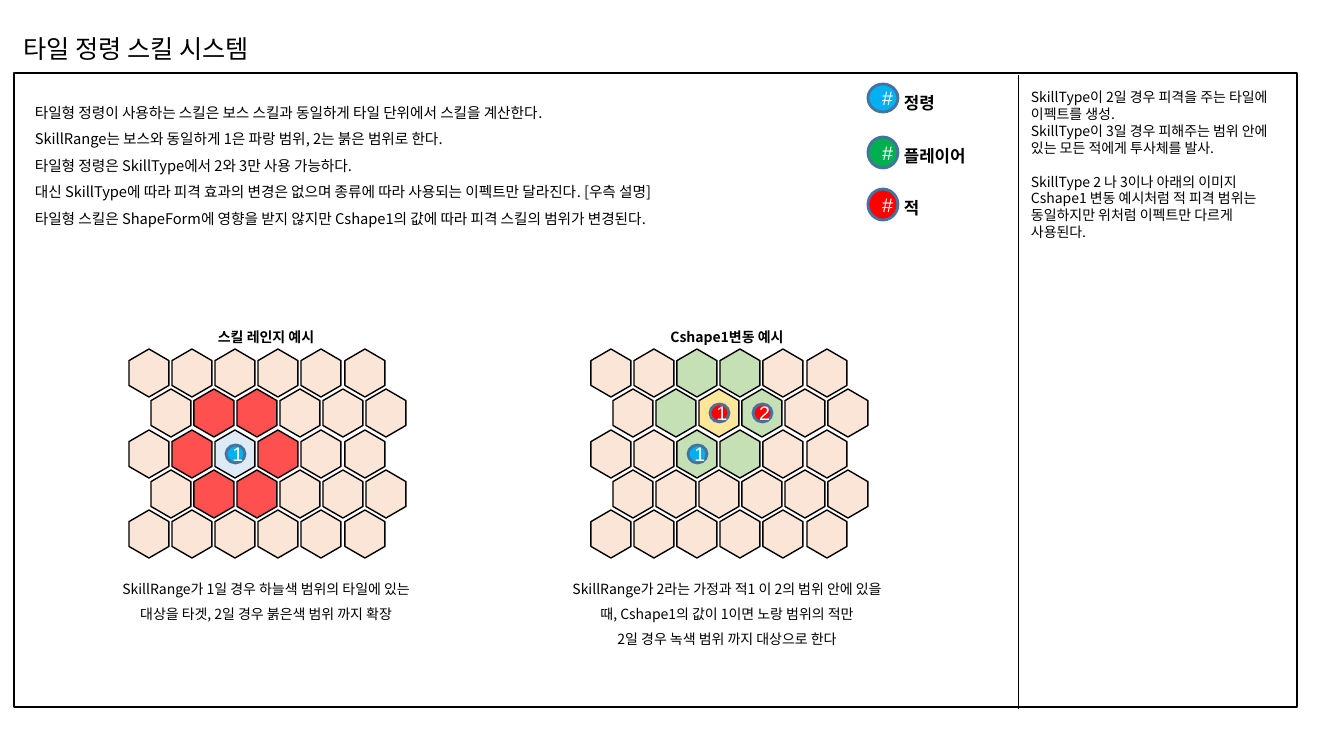
import pptx
import pptx.util
import pptx.dml.color
import pptx.enum.shapes
import pptx.enum.text
import pptx.oxml
import pptx.oxml.ns
from dataclasses import dataclass

SHAPE = pptx.enum.shapes.MSO_SHAPE
ALIGN = pptx.enum.text.PP_ALIGN
ANCHOR = pptx.enum.text.MSO_ANCHOR


@dataclass(frozen=True)
class Theme:
    korean: str = "Noto Sans CJK KR"
    latin: str = "Arial"
    black: str = "000000"
    white: str = "FFFFFF"
    ring: str = "43739E"
    spirit: str = "00B0F0"
    player: str = "00B050"
    enemy: str = "FF0000"
    tile: str = "FBE5D6"
    red: str = "FF5050"
    sky: str = "DEEBF7"
    green: str = "C5E0B4"
    yellow: str = "FFE699"
    title: float = 18
    marker: float = 14
    legend: float = 12
    body: float = 10.5
    small: float = 10


class Builder:
    SCALE = 914400 / 100.8

    def __init__(self, slide, theme):
        self.s = slide
        self.t = theme

    def px(self, *lengths):
        return [pptx.util.Emu(round(n * self.SCALE)) for n in lengths]

    def color(self, value):
        return pptx.dml.color.RGBColor.from_string(value)

    def run(self, p, text, size, color, font, bold=False):
        r = p.add_run()
        r.text = text
        r.font.size = pptx.util.Pt(size)
        r.font.bold = bold
        r.font.name = font
        r.font.color.rgb = self.color(color)
        ea = pptx.oxml.parse_xml(
            '<a:ea %s typeface="%s"/>' % (pptx.oxml.ns.nsdecls("a"), self.t.korean))
        r.font._element.find(pptx.oxml.ns.qn("a:latin")).addnext(ea)

    def fill_text(self, sp, lines, size, align, spacing, bold=False, gap_at=None):
        tf = sp.text_frame
        tf.word_wrap = True
        tf.auto_size = pptx.enum.text.MSO_AUTO_SIZE.NONE
        tf.vertical_anchor = ANCHOR.TOP
        for i, line in enumerate(lines):
            p = tf.paragraphs[0] if i == 0 else tf.add_paragraph()
            p.alignment = align
            p.line_spacing = spacing
            p.space_before = pptx.util.Pt(size * 1.2 if i == gap_at else 0)
            self.run(p, line, size, self.t.black, self.t.korean, bold)

    def title(self, box, text):
        sp = self.s.shapes.title
        sp.left, sp.top, sp.width, sp.height = self.px(*box)
        self.fill_text(sp, [text], self.t.title, ALIGN.LEFT, 1.0)

    def text(self, box, lines, size, align=ALIGN.LEFT, spacing=1.5, **style):
        sp = self.s.shapes.add_textbox(*self.px(*box))
        self.fill_text(sp, lines, size, align, spacing, **style)

    def shape(self, parent, kind, box, fill, line, width):
        sp = parent.shapes.add_shape(kind, *self.px(*box))
        sp.shadow.inherit = False
        if fill:
            sp.fill.solid()
            sp.fill.fore_color.rgb = self.color(fill)
        else:
            sp.fill.background()
        sp.line.color.rgb = self.color(line)
        sp.line.width = pptx.util.Pt(width)
        return sp

    def marker(self, parent, box, fill, label):
        sp = self.shape(parent, SHAPE.OVAL, box, fill, self.t.ring, 2)
        sp.text_frame.vertical_anchor = ANCHOR.MIDDLE
        p = sp.text_frame.paragraphs[0]
        p.alignment = ALIGN.CENTER
        self.run(p, label, self.t.marker, self.t.white, self.t.latin)

    def line(self, start, end, width):
        cx = self.s.shapes.add_connector(
            pptx.enum.shapes.MSO_CONNECTOR.STRAIGHT, *self.px(*start, *end))
        cx.line.color.rgb = self.color(self.t.black)
        cx.line.width = pptx.util.Pt(width)
        cx._element.spPr.append(
            pptx.oxml.parse_xml("<a:effectLst %s/>" % pptx.oxml.ns.nsdecls("a")))

    def hex_map(self, left, top, rows, markers):
        fills = {".": self.t.tile, "R": self.t.red, "S": self.t.sky,
                 "G": self.t.green, "Y": self.t.yellow}
        group = self.s.shapes.add_group_shape()

        def corner(row, col):
            return left + round(43.1 * col + 21.5 * (row % 2)), top + round(40.3 * row)

        for row, tiles in enumerate(rows):
            for col, tile in enumerate(tiles):
                sp = self.shape(group, SHAPE.HEXAGON, (*corner(row, col), 48, 40),
                                fills[tile], self.t.black, 1)
                sp.rotation = 270
                sp.adjustments[0] = 0.29
        for row, col, fill, label in markers:
            x, y = corner(row, col)
            self.marker(group, (x + 15, y + 11, 19, 18), fill, label)


prs = pptx.Presentation()
theme = Theme()
prs.slide_width, prs.slide_height = [
    pptx.util.Emu(round(n * Builder.SCALE)) for n in (1344, 756)]
b = Builder(prs.slides.add_slide(prs.slide_layouts[5]), theme)

b.title((13, 28, 496, 40), "타일 정령 스킬 시스템")
b.shape(b.s, SHAPE.RECTANGLE, (14, 73, 1283, 634), None, theme.black, 1)
b.line((1019, 75), (1019, 709), 0.75)
b.text((25, 90, 920, 144), [
    "타일형 정령이 사용하는 스킬은 보스 스킬과 동일하게 타일 단위에서 스킬을 계산한다.",
    "SkillRange는 보스와 동일하게 1은 파랑 범위, 2는 붉은 범위로 한다.",
    "타일형 정령은 SkillType에서 2와 3만 사용 가능하다.",
    "대신 SkillType에 따라 피격 효과의 변경은 없으며 종류에 따라 사용되는 이펙트만 달라진다. [우측 설명]",
    "타일형 스킬은 ShapeForm에 영향을 받지 않지만 Cshape1의 값에 따라 피격 스킬의 범위가 변경된다.",
], theme.body)

for label, fill, top, height in (("정령", theme.spirit, 84, 28),
                                 ("플레이어", theme.player, 137, 31),
                                 ("적", theme.enemy, 189, 31)):
    b.marker(b.s, (868, top, 30, height), fill, "#")
    b.text((894, top - 6, 107, 36), [label], theme.legend, bold=True)

examples = (
    (95, 125, "스킬 레인지 예시",
     ("......", ".RR...", ".RSR..", ".RR...", "......"),
     ((2, 2, theme.spirit, "1"),),
     ["SkillRange가 1일 경우 하늘색 범위의 타일에 있는 대상을 타겟, 2일 경우 붉은색 범위 까지 확장"]),
    (556, 587, "Cshape1변동 예시",
     ("..GG..", ".GYG..", "..GG..", "......", "......"),
     ((2, 2, theme.spirit, "1"), (1, 2, theme.enemy, "1"), (1, 3, theme.enemy, "2")),
     ["SkillRange가 2라는 가정과 적1 이 2의 범위 안에 있을 때, Cshape1의 값이 1이면 노랑 범위의 적만",
      "2일 경우 녹색 범위 까지 대상으로 한다"]),
)
for left, map_left, heading, rows, markers, caption in examples:
    b.hex_map(map_left, 353, rows, markers)
    b.text((left, 315, 342, 35), [heading], theme.small, ALIGN.CENTER, bold=True)
    b.text((left, 567, 342, 87), caption, theme.small, ALIGN.CENTER)

b.text((1021, 84, 263, 163), [
    "SkillType이 2일 경우 피격을 주는 타일에 이펙트를 생성.",
    "SkillType이 3일 경우 피해주는 범위 안에 있는 모든 적에게 투사체를 발사.",
    "SkillType 2 나 3이나 아래의 이미지",
    "Cshape1 변동 예시처럼 적 피격 범위는 동일하지만 위처럼 이펙트만 다르게 사용된다.",
], theme.small, spacing=1.0, gap_at=2)

prs.save("out.pptx")
